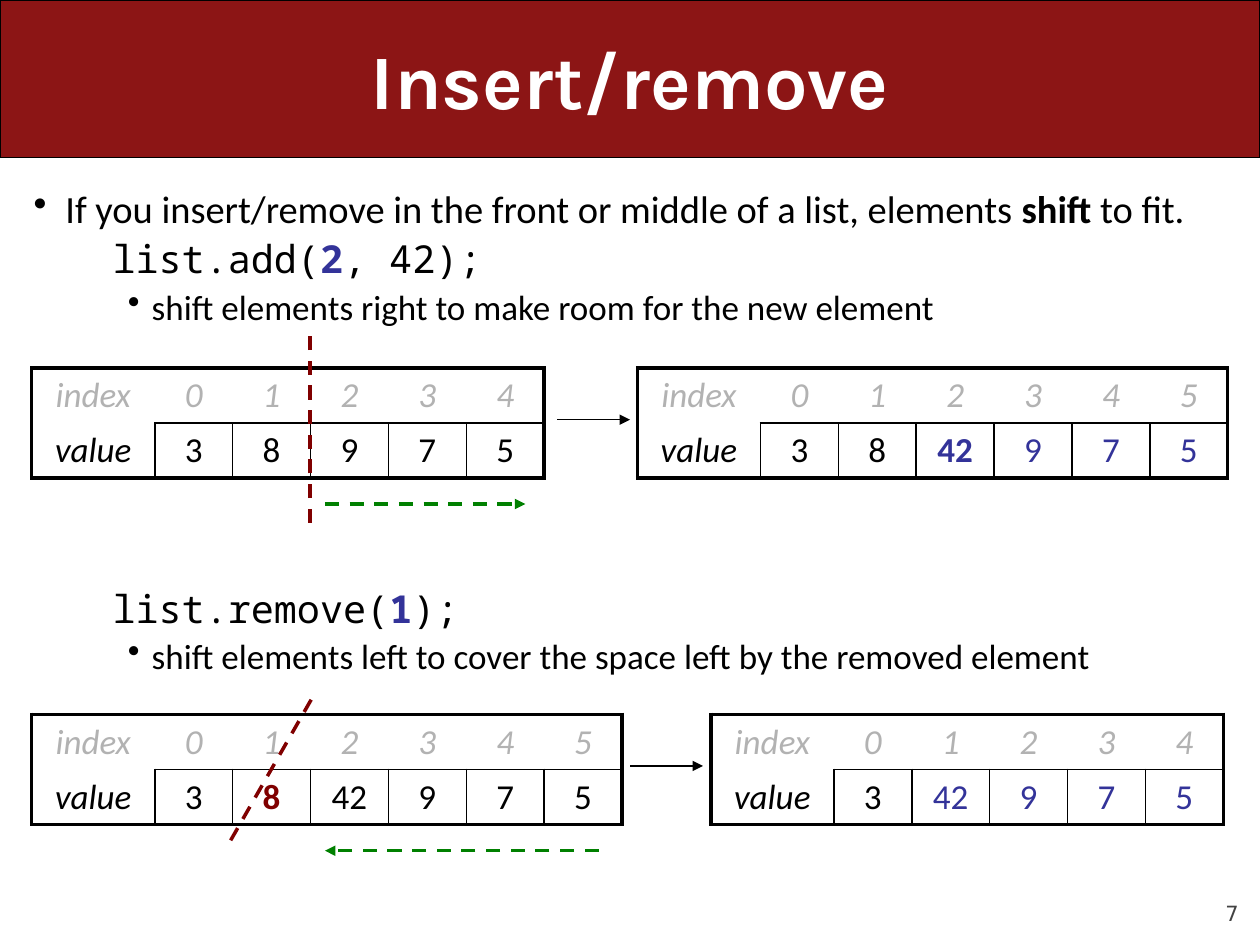
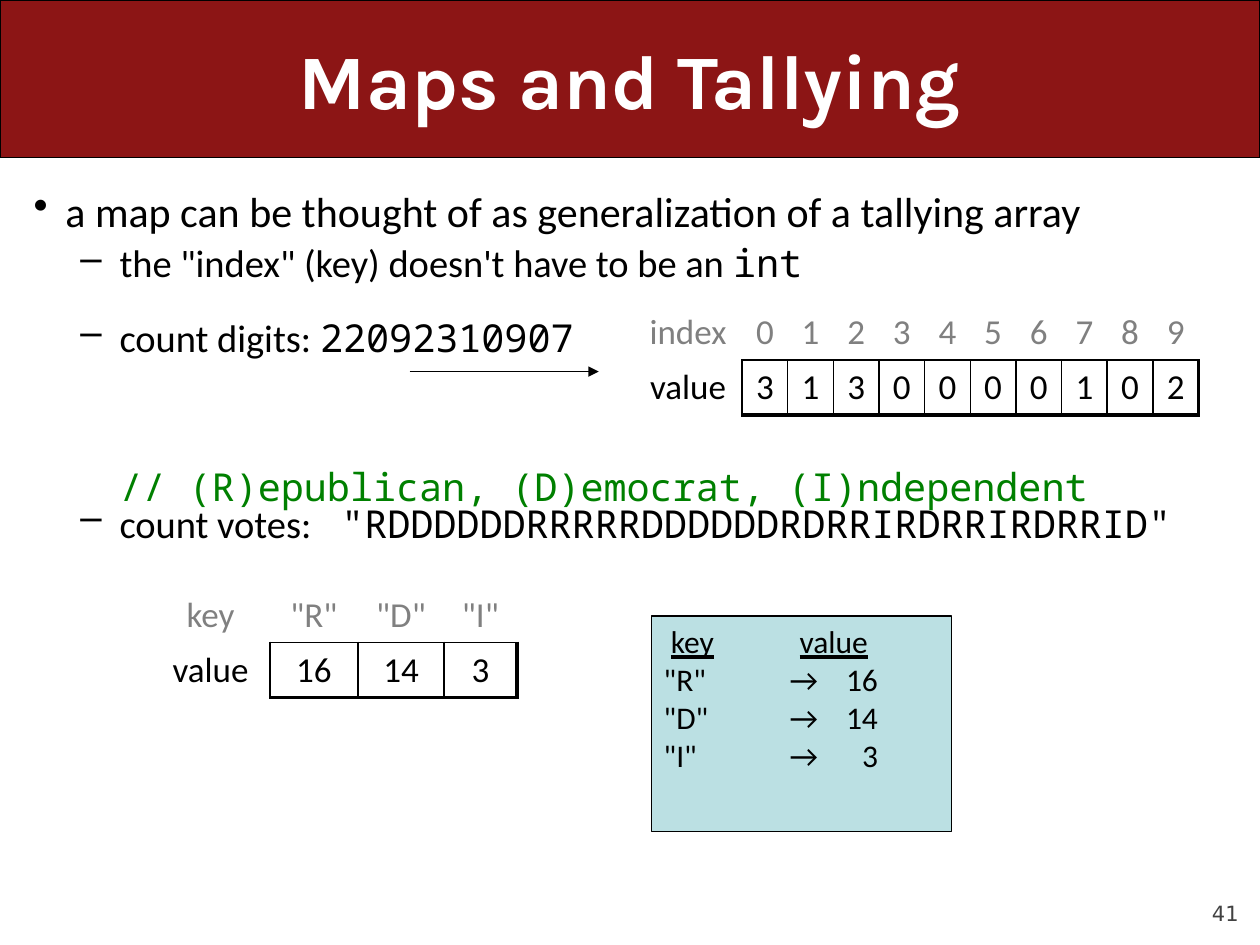
import pptx
import pptx.util
import pptx.dml.color
import pptx.enum.dml
import pptx.enum.shapes
import pptx.enum.text
import pptx.oxml.ns
from lxml import etree
from dataclasses import dataclass

Cm, Pt = pptx.util.Cm, pptx.util.Pt
qn = pptx.oxml.ns.qn
Align = pptx.enum.text.PP_ALIGN
Anchor = pptx.enum.text.MSO_ANCHOR


@dataclass(frozen=True)
class Theme:
    band: str = "8C1515"
    ink: str = "000000"
    white: str = "FFFFFF"
    page: str = "424242"
    pale: str = "B2B2B2"
    grey: str = "808080"
    blue: str = "333399"
    red: str = "800000"
    green: str = "008000"
    card: str = "BBE0E3"
    head: str = "Karla"
    body: str = "Calibri"
    mono: str = "Noto Sans Mono"
    foot: str = "DejaVu Sans"
    title: int = 44
    large: int = 24
    text: int = 22
    cell: int = 20
    note: int = 18
    small: int = 12
    thin: float = 0.75
    grid: float = 1
    dash: float = 2
    frame: float = 2.25


T = Theme()
WIDE, HIGH, BAND = 25.4, 19.05, 3.18
LEFT, SPAN, ROW = 0.43, 24.56, 1.11
PLAIN = "{2D5ABB26-0587-4C30-8999-92F81FD0307C}"

LEVELS = {
    "point": (0.64, -0.64, "•"),
    "code": (1.59, 0, None),
    "sub": (2.38, -0.48, "•"),
    "dash": (1.73, -0.79, "–"),
    "note": (1.73, 0, None),
}
CODE = dict(font=T.mono)
ARG = dict(font=T.mono, tint=T.blue, bold=True)
SUB = dict(size=T.cell)
BLUE = dict(tint=T.blue)
NEW = dict(tint=T.blue, bold=True)
GONE = dict(tint=T.red, bold=True)
LIST = (2.48, 1.57)

SLIDES = [
    dict(
        title="Insert/remove", page="7",
        blocks=[
            (3.61, [
                ("point", [("If you insert/remove in the front or middle of a list, elements ", {}),
                           ("shift", dict(bold=True)), (" to fit.", {})]),
                ("code", [("list.add(", CODE), ("2", ARG), (", 42);", CODE)]),
                ("sub", [("shift elements right to make room for the new element", SUB)]),
            ]),
            (11.66, [
                ("code", [("list.remove(", CODE), ("1", ARG), (");", CODE)]),
                ("sub", [("shift elements left to cover the space left by the removed element", SUB)]),
            ]),
        ],
        grids=[
            dict(at=(0.64, 7.42), cols=LIST, vals="3 8 9 7 5"),
            dict(at=(12.85, 7.42), cols=LIST, vals="3 8 42 9 7 5",
                 marks={3: NEW, 4: BLUE, 5: BLUE, 6: BLUE}),
            dict(at=(0.64, 14.4), cols=LIST, vals="3 8 42 9 7 5", marks={2: GONE}),
            dict(at=(14.33, 14.4), cols=LIST, vals="3 42 9 7 5",
                 marks={2: BLUE, 3: BLUE, 4: BLUE, 5: BLUE}),
        ],
        framed=True,
        lines=[
            ((11.23, 8.46, 12.7, 8.46), {}),
            ((12.7, 15.44, 14.17, 15.44), {}),
            ((6.25, 10.54, 6.25, 6.73), dict(tint=T.red, dash=True, arrow=False)),
            ((4.65, 16.94, 6.35, 13.97), dict(tint=T.red, dash=True, arrow=False)),
            ((6.55, 10.16, 10.59, 10.16), dict(tint=T.green, dash=True)),
            ((12.07, 17.15, 6.55, 17.15), dict(tint=T.green, dash=True)),
        ],
    ),
    dict(
        title="Maps and Tallying", page="41",
        blocks=[
            (3.61, [
                ("point", [("a map can be thought of as generalization of a tallying array",
                            dict(size=T.large))]),
                ("dash", [('the "index" (key) doesn\'t have to be an ', {}), ("int", CODE)]),
            ]),
            (6.2, [("dash", [("count digits: ", {}), ("22092310907", CODE)])]),
            (9.2, [
                ("note", [("// (R)epublican, (D)emocrat, (I)ndependent",
                           dict(font=T.mono, tint=T.green))]),
                ("dash", [("count votes:\t", {}), ('"RDDDDDDRRRRRDDDDDDRDRRIRDRRIRDRRID"', CODE)],
                 dict(lead=0.7, tabs=[(6.2, "l")])),
            ]),
        ],
        grids=[
            dict(at=(12.78, 6.15), cols=(2.18, 0.92), vals="3 1 3 0 0 0 0 1 0 2"),
            dict(at=(3.05, 11.84), cols=(2.39, 1.78, 1.73, 1.47), vals="16 14 3",
                 keys='key "R" "D" "I"'),
        ],
        framed=False,
        lines=[((8.26, 7.49, 12.07, 7.49), {})],
        card=dict(at=(13.13, 12.42, 6.05, 4.34), head=("key", "value"),
                  rows=[('"R"', "16"), ('"D"', "14"), ('"I"', "3")]),
    ),
]


def rgb(tint):
    return pptx.dml.color.RGBColor.from_string(tint)


def write(para, text, size=T.text, font=T.body, tint=T.ink, bold=False, slant=False, under=False):
    run = para.add_run()
    run.text = text
    face = run.font
    face.size, face.name = Pt(size), font
    face.bold, face.italic, face.underline = bold, slant, under
    face.color.rgb = rgb(tint)


def add_para(frame, first):
    return frame.paragraphs[0] if first else frame.add_paragraph()


def set_tabs(para, tabs):
    stops = etree.SubElement(para._p.get_or_add_pPr(), qn("a:tabLst"))
    for pos, side in tabs:
        etree.SubElement(stops, qn("a:tab"), pos=str(Cm(pos)), algn=side)


def set_level(para, level, size, lead=None, tabs=()):
    left, hang, mark = LEVELS[level]
    para.space_before = Pt(size / 10)
    if lead:
        para.line_spacing = lead
    props = para._p.get_or_add_pPr()
    props.set("marL", str(Cm(left)))
    props.set("indent", str(Cm(hang)))
    if mark:
        etree.SubElement(props, qn("a:buChar"), char=mark)
    else:
        etree.SubElement(props, qn("a:buNone"))
    if tabs:
        set_tabs(para, tabs)


def add_box(slide, left, top, width, height, anchor=Anchor.TOP):
    frame = slide.shapes.add_textbox(Cm(left), Cm(top), Cm(width), Cm(height)).text_frame
    frame.word_wrap = True
    frame.vertical_anchor = anchor
    return frame


def add_rect(slide, left, top, width, height, fill):
    rect = slide.shapes.add_shape(pptx.enum.shapes.MSO_SHAPE.RECTANGLE,
                                  Cm(left), Cm(top), Cm(width), Cm(height))
    rect.shadow.inherit = False
    rect.fill.solid()
    rect.fill.fore_color.rgb = rgb(fill)
    rect.line.color.rgb = rgb(T.ink)
    rect.line.width = Pt(T.thin)
    return rect


def add_base(slide, title, page):
    add_rect(slide, 0, 0, WIDE, BAND, T.band)
    para = add_box(slide, 1.27, 0, 22.86, BAND, Anchor.MIDDLE).paragraphs[0]
    para.alignment = Align.CENTER
    write(para, title, size=T.title, font=T.head, tint=T.white, bold=True)
    frame = add_box(slide, 22.86, 17.65, 2.11, 1.02, Anchor.BOTTOM)
    frame.margin_left = frame.margin_right = frame.margin_top = frame.margin_bottom = 0
    frame.paragraphs[0].alignment = Align.RIGHT
    write(frame.paragraphs[0], page, size=T.small, font=T.foot, tint=T.page)


def add_block(slide, top, paras):
    frame = add_box(slide, LEFT, top, SPAN, 1.3 * len(paras))
    for num, (level, runs, *extra) in enumerate(paras):
        para = add_para(frame, num == 0)
        size = runs[0][1].get("size", T.text)
        set_level(para, level, size, **(extra[0] if extra else {}))
        for text, style in runs:
            write(para, text, **style)


def get_edges(row, col, last, framed):
    edges = {}
    if row and col:
        edges = dict(L=T.grid, R=T.grid, T=T.grid, B=T.frame)
        if col == last:
            edges["R"] = T.frame
    elif row:
        edges["R"] = T.grid
    elif col:
        edges["B"] = T.grid
    if framed:
        edges["B" if row else "T"] = T.frame
        if col in (0, last):
            edges["R" if col else "L"] = T.frame
    return edges


def set_edges(cell, edges):
    props = cell._tc.get_or_add_tcPr()
    for side in "LRTB":
        line = etree.SubElement(props, qn("a:ln" + side), w=str(Pt(edges.get(side, 0))))
        if side in edges:
            fill = etree.SubElement(line, qn("a:solidFill"))
            etree.SubElement(fill, qn("a:srgbClr"), val=T.ink)
        else:
            etree.SubElement(line, qn("a:noFill"))


def add_grid(slide, at, cols, vals, framed, keys=None, marks={}):
    vals = ["value"] + vals.split()
    last = len(vals) - 1
    keys = keys.split() if keys else ["index"] + [str(num) for num in range(last)]
    widths = cols if len(cols) == len(vals) else (cols[0],) + cols[1:] * last
    part = slide.shapes.add_table(2, len(vals), Cm(at[0]), Cm(at[1]), Cm(sum(widths)), Cm(2 * ROW))
    table = part.table
    table.first_row = table.horz_banding = False
    table._tbl.tblPr.find(qn("a:tableStyleId")).text = PLAIN
    for col, width in enumerate(widths):
        table.columns[col].width = Cm(width)
    for row, texts in enumerate((keys, vals)):
        table.rows[row].height = Cm(ROW)
        for col, text in enumerate(texts):
            cell = table.cell(row, col)
            set_edges(cell, get_edges(row, col, last, framed))
            cell.fill.background()
            style = dict(size=T.cell, slant=framed and not (row and col))
            if row == 0:
                style["tint"] = T.pale if framed else T.grey
            elif col in marks:
                style.update(marks[col])
            para = cell.text_frame.paragraphs[0]
            para.alignment = Align.CENTER
            write(para, text, **style)


def add_line(slide, ends, tint=T.ink, dash=False, arrow=True):
    link = slide.shapes.add_connector(pptx.enum.shapes.MSO_CONNECTOR.STRAIGHT, *map(Cm, ends))
    link.line.color.rgb = rgb(tint)
    link.line.width = Pt(T.dash if dash else T.thin)
    if dash:
        link.line.dash_style = pptx.enum.dml.MSO_LINE.DASH
    if arrow:
        etree.SubElement(link.line._get_or_add_ln(), qn("a:tailEnd"), type="triangle")
    etree.SubElement(link._element.spPr, qn("a:effectLst"))


def add_card(slide, at, head, rows):
    frame = add_rect(slide, *at, T.card).text_frame
    frame.word_wrap = True
    frame.vertical_anchor = Anchor.TOP
    para = add_para(frame, True)
    para.alignment = Align.LEFT
    set_tabs(para, [(2.74, "l")])
    for lead, text in zip((" ", "\t"), head):
        write(para, lead, size=T.note)
        write(para, text, size=T.note, under=True)
    for key, val in rows:
        para = add_para(frame, False)
        para.alignment = Align.LEFT
        set_tabs(para, [(2.54, "l"), (4.32, "r")])
        write(para, f"{key}\t→\t{val}", size=T.note)


def main():
    deck = pptx.Presentation()
    deck.slide_width, deck.slide_height = Cm(WIDE), Cm(HIGH)
    for data in SLIDES:
        slide = deck.slides.add_slide(deck.slide_layouts[6])
        add_base(slide, data["title"], data["page"])
        for top, paras in data["blocks"]:
            add_block(slide, top, paras)
        for grid in data["grids"]:
            add_grid(slide, framed=data["framed"], **grid)
        for ends, style in data["lines"]:
            add_line(slide, ends, **style)
        if "card" in data:
            add_card(slide, **data["card"])
    deck.save("out.pptx")


if __name__ == "__main__":
    main()
